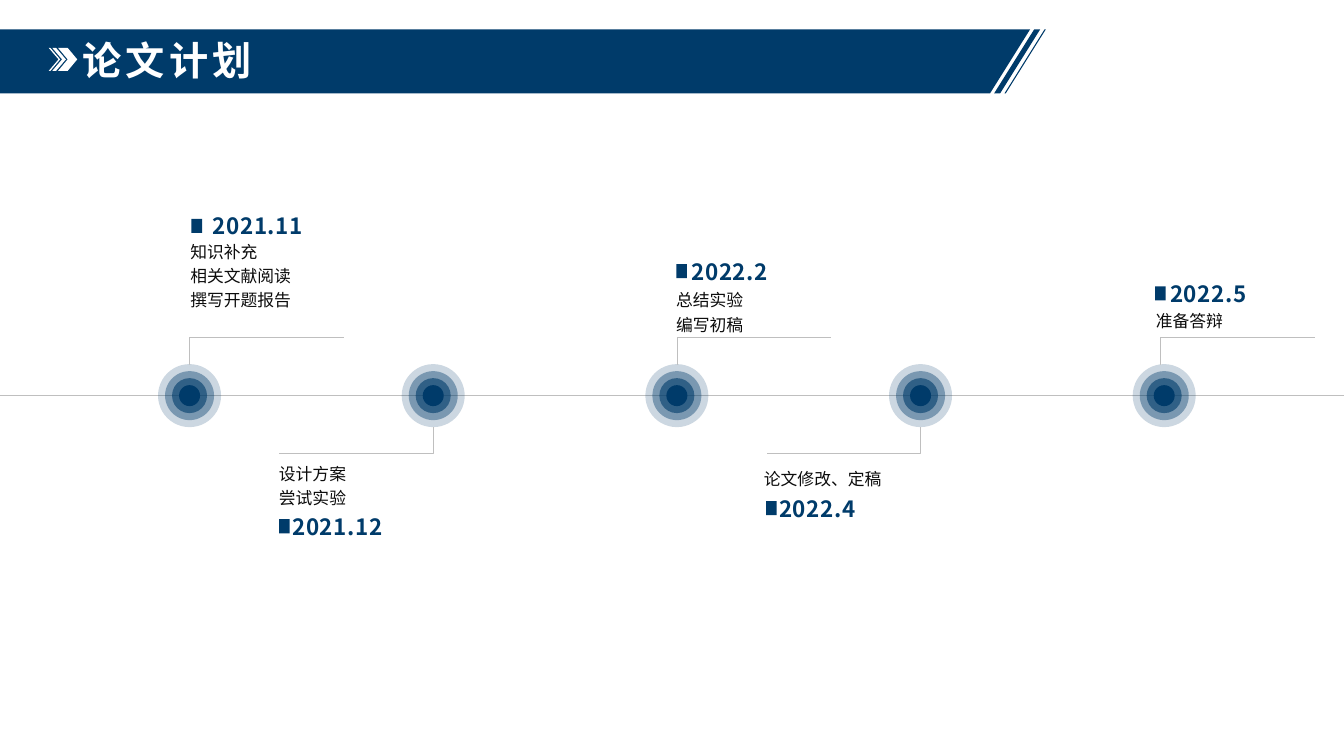
from lxml import etree
from pptx import Presentation
from pptx.dml import color
from pptx.enum import shapes, text
from pptx.oxml import ns
from pptx.util import Pt

NAVY = "003B6A"
GREY = "BFBFBF"
WHITE = "FFFFFF"
INK = "0C0C0C"
HEADING_FONT = "Noto Sans CJK SC"
BODY_FONT = "Arial"

AXIS_Y = 282.6
FIRST_X = 135.4
STEP_X = 174.05
RINGS = [(45, 20), (35, 40), (25, 60), (15, 100)]
LEAD_WIDTH = 110
LEAD_HEIGHT = 18.8

MILESTONES = [
    ("2021.11", (144.7, 148.3), 136.8, ["知识补充", "相关文献阅读", "撰写开题报告"], (128.9, 166.3), -1, 0),
    ("2021.12", (201.6, 362.9), 199.4, ["设计方案", "尝试实验"], (192.2, 324.7), 1, 0),
    ("2022.2", (486.7, 180.7), 483.1, ["总结实验", "编写初稿"], (475.9, 200.9), -1, 0),
    ("2022.4", (549.4, 349.9), 547.2, ["论文修改、定稿"], (538.6, 328.3), 1, 0),
    ("2022.5", (828.7, 196.6), 825.1, ["准备答辩"], (818.6, 215.3), -1, -2.6),
]


def rgb(value):
    return color.RGBColor.from_string(value)


def paint(shape, fill, opacity=100):
    shape.shadow.inherit = False
    shape.fill.solid()
    shape.fill.fore_color.rgb = rgb(fill)
    shape.line.fill.background()
    if opacity < 100:
        tone = shape.fill._xPr.find(".//" + ns.qn("a:srgbClr"))
        etree.SubElement(tone, ns.qn("a:alpha"), val=str(opacity * 1000))


def add_preset(parent, kind, left, top, width, height, fill, opacity=100):
    shape = parent.shapes.add_shape(kind, Pt(left), Pt(top), Pt(width), Pt(height))
    paint(shape, fill, opacity)


def add_outline(parent, contours, fill):
    contours = [[(Pt(x), Pt(y)) for x, y in contour] for contour in contours]
    builder = parent.shapes.build_freeform(*contours[0][0])
    builder.add_line_segments(contours[0][1:])
    for contour in contours[1:]:
        builder.move_to(*contour[0])
        builder.add_line_segments(contour[1:])
    paint(builder.convert_to_shape(), fill)


def add_line(page, kind, start, end):
    line = page.shapes.add_connector(kind, *(Pt(value) for value in start + end))
    line.line.color.rgb = rgb(GREY)
    line.line.width = Pt(0.5)
    properties = line._element.spPr
    etree.SubElement(properties, ns.qn("a:effectLst"))
    if kind == shapes.MSO_CONNECTOR.ELBOW:
        guides = properties.find(".//" + ns.qn("a:avLst"))
        etree.SubElement(guides, ns.qn("a:gd"), name="adj1", fmla="val 200")


def add_text(page, lines, position, width, height, size, fill, font,
             bold=False, tracking=0, spacing=None, grow=True):
    box = page.shapes.add_textbox(*(Pt(value) for value in position), Pt(width), Pt(height))
    frame = box.text_frame
    frame.word_wrap = True
    if grow:
        frame.auto_size = text.MSO_AUTO_SIZE.SHAPE_TO_FIT_TEXT
    else:
        frame.vertical_anchor = text.MSO_ANCHOR.MIDDLE
    frame.text = "\n".join(lines)
    for para in frame.paragraphs:
        para.line_spacing = spacing
        for span in para.runs:
            span.font.size = Pt(size)
            span.font.bold = bold
            span.font.name = font
            span.font.color.rgb = rgb(fill)
            properties = span.font._element
            etree.SubElement(properties, ns.qn("a:ea"), typeface=font)
            if tracking:
                properties.set("spc", str(int(tracking * 100)))


def add_banner(page):
    top, bottom, slant = 21, 66.7, 28.6
    contours = [[(0, top), (735.8, top), (735.8 - slant, bottom), (0, bottom)]]
    for left, right in [(738.7, 743), (746.1, 747)]:
        contours.append([(left, top), (right, top), (right - slant, bottom), (left - slant, bottom)])
    add_outline(page, contours, NAVY)

    arrows = page.shapes.add_group_shape()
    top, bottom = 34.2, 50.6
    middle = (top + bottom) / 2
    add_preset(arrows, shapes.MSO_SHAPE.CHEVRON, 41.5, top, 13.7, bottom - top, WHITE)
    for left, thickness in [(37.4, 2.7), (34.8, 1.2)]:
        right = left + thickness
        add_outline(arrows, [[(left, top), (right, top), (right + 7, middle),
                              (right, bottom), (left, bottom), (left + 7, middle)]], WHITE)
    add_text(page, ["论文计划"], (51.8, 24.5), 598.3, 40.3, 28, WHITE, HEADING_FONT,
             bold=True, tracking=3, spacing=0.9, grow=False)


def add_marker(page, center):
    marker = page.shapes.add_group_shape()
    for diameter, opacity in RINGS:
        add_preset(marker, shapes.MSO_SHAPE.OVAL, center - diameter / 2, AXIS_Y - diameter / 2,
                   diameter, diameter, NAVY, opacity)


def add_milestone(page, center, date, date_position, square_left, tasks, task_position, side, shift):
    add_marker(page, center)
    start = (center + shift, AXIS_Y + side * RINGS[0][0] / 2)
    end = (start[0] - side * LEAD_WIDTH, start[1] + side * LEAD_HEIGHT)
    add_line(page, shapes.MSO_CONNECTOR.ELBOW, start, end)
    add_text(page, tasks, task_position, 127.4, 6.5 + 17.3 * len(tasks), 12, INK, BODY_FONT, spacing=1.2)
    add_text(page, [date], date_position, 85, 26, 16, NAVY, HEADING_FONT, bold=True, tracking=0.5)
    add_preset(page, shapes.MSO_SHAPE.RECTANGLE, square_left, date_position[1] + 8, 7.6, 10.1, NAVY)


def main():
    deck = Presentation()
    deck.slide_width, deck.slide_height = Pt(960), Pt(540)
    page = deck.slides.add_slide(deck.slide_layouts[6])
    add_banner(page)
    add_line(page, shapes.MSO_CONNECTOR.STRAIGHT, (0, AXIS_Y), (960, AXIS_Y))
    for index, milestone in enumerate(MILESTONES):
        add_milestone(page, FIRST_X + index * STEP_X, *milestone)
    deck.save("out.pptx")


if __name__ == "__main__":
    main()
